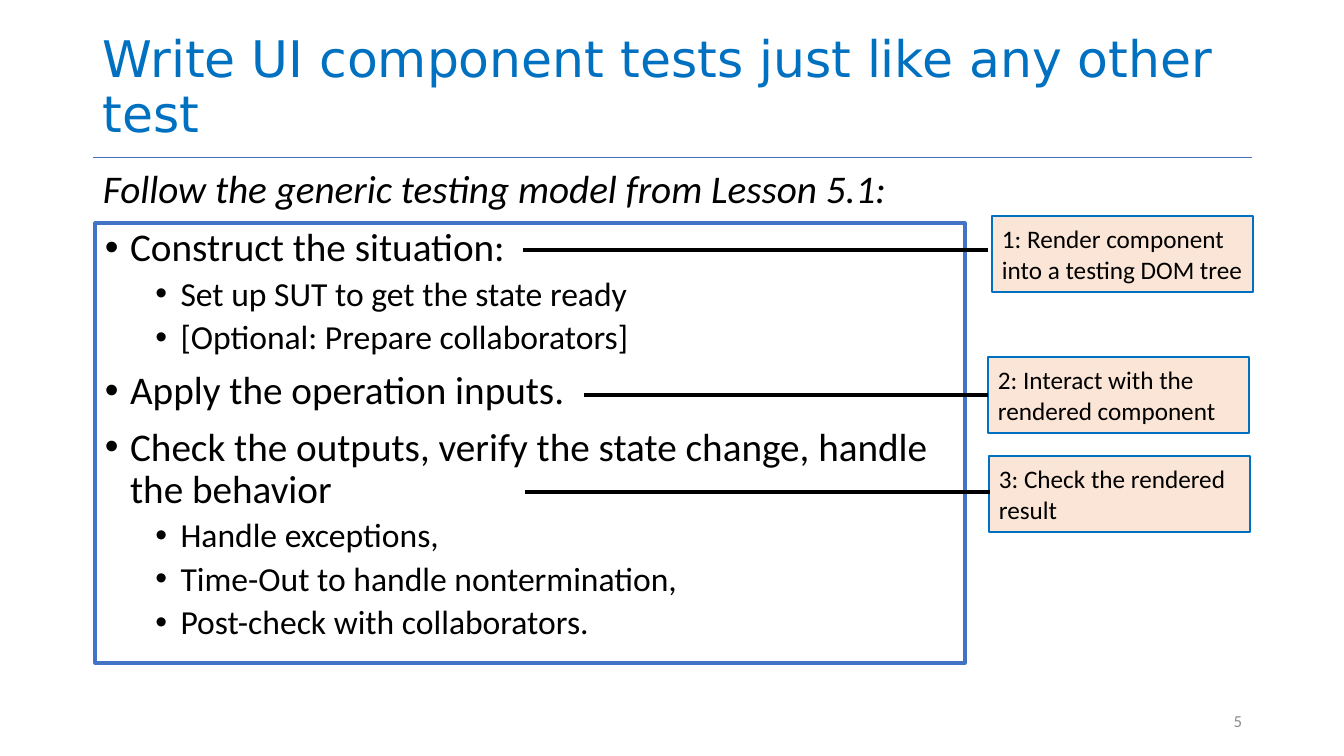
from pptx import Presentation
from pptx.dml.color import RGBColor
from pptx.enum.shapes import MSO_SHAPE as Shape, MSO_CONNECTOR as Link
from pptx.enum.text import PP_ALIGN as Align, MSO_ANCHOR as Anchor
from pptx.oxml.ns import qn
from pptx.util import Pt
from lxml import etree

# Content
TITLE = "Write UI component tests just like any other test"
LEAD = "Follow the generic testing model from Lesson 5.1:"
STEPS = [
    ("Construct the situation:",
     ["Set up SUT to get the state ready",
      "[Optional: Prepare collaborators]"]),
    ("Apply the operation inputs.", []),
    ("Check the outputs, verify the state change, handle the behavior",
     ["Handle exceptions,",
      "Time-Out to handle nontermination,",
      "Post-check with collaborators."]),
]
# Callout text, its left and top, then its line's start, end and height
NOTES = [
    ("1: Render component into a testing DOM tree", 992, 216, 988, 523, 250),
    ("2: Interact with the rendered component", 988, 357, 988, 584, 395),
    ("3: Check the rendered result", 989, 456, 990, 525, 492),
]
PAGE = "5"
BLUE, EDGE, PEACH, BLACK, GRAY = "0070C0", "4472C4", "FBE5D6", "000000", "8C8C8C"

# Scale: 100.8 pixels to the inch
def px(n):
    return round(n * 914400 / 100.8)


def hue(code):
    return RGBColor.from_string(code)


deck = Presentation()
deck.slide_width, deck.slide_height = px(1344), px(756)
slide = deck.slides.add_slide(deck.slide_layouts[6])
shapes = slide.shapes


def write(frame, text, size=28, color=BLACK, font="Calibri", italic=False,
          align=Align.LEFT, anchor=Anchor.TOP, space=None, before=0,
          level=None, first=True):
    frame.word_wrap = True
    frame.vertical_anchor = anchor
    para = frame.paragraphs[0] if first else frame.add_paragraph()
    para.alignment = align
    para.space_before = Pt(before)
    if space:
        para.line_spacing = space
    if level is not None:
        para.level = level
        props = para._p.get_or_add_pPr()
        props.set("marL", str(228600 + level * 457200))
        props.set("indent", "-228600")
        etree.SubElement(props, qn("a:buFont")).set("typeface", "Arial")
        etree.SubElement(props, qn("a:buChar")).set("char", "•")
    run = para.add_run()
    run.text = text
    run.font.size, run.font.name = Pt(size), font
    run.font.italic = italic
    run.font.color.rgb = hue(color)


def label(box, text, **style):
    write(shapes.add_textbox(*map(px, box)).text_frame, text, **style)


def panel(box, edge, width, fill=None):
    shape = shapes.add_shape(Shape.RECTANGLE, *map(px, box))
    shape.shadow.inherit = False
    if fill:
        shape.fill.solid()
        shape.fill.fore_color.rgb = hue(fill)
    else:
        shape.fill.background()
    shape.line.color.rgb, shape.line.width = hue(edge), Pt(width)
    return shape.text_frame


def rule(start, end, y, color, width):
    line = shapes.add_connector(Link.STRAIGHT, *map(px, (start, y, end, y)))
    line.line.color.rgb, line.line.width = hue(color), Pt(width)
    etree.SubElement(line._element.spPr, qn("a:effectLst"))


# Heading, lead line and page number
rule(93, 1252, 157, EDGE, 0.5)
label((93, 2, 1159, 146), TITLE, size=36, color=BLUE, font="DejaVu Sans",
      anchor=Anchor.BOTTOM, space=0.9)
label((93, 165, 870, 58), LEAD, italic=True, space=0.9, before=10)
label((950, 701, 302, 40), PAGE, size=12, color=GRAY, align=Align.RIGHT,
      anchor=Anchor.MIDDLE)

# Steps, each with its sub-points
frame = panel((95, 223, 870, 440), EDGE, 2.25)
for i, (step, points) in enumerate(STEPS):
    write(frame, step, space=0.9, before=10, level=0, first=i == 0)
    for point in points:
        write(frame, point, size=24, space=0.9, before=5, level=1, first=False)

# Callouts, then the lines that tie them to the steps
for text, left, top, *_ in NOTES:
    write(panel((left, top, 261, 76), BLUE, 1, PEACH), text, size=18,
          anchor=Anchor.MIDDLE)
for *_, start, end, y in NOTES:
    rule(start, end, y, BLACK, 2.25)

deck.save("out.pptx")
